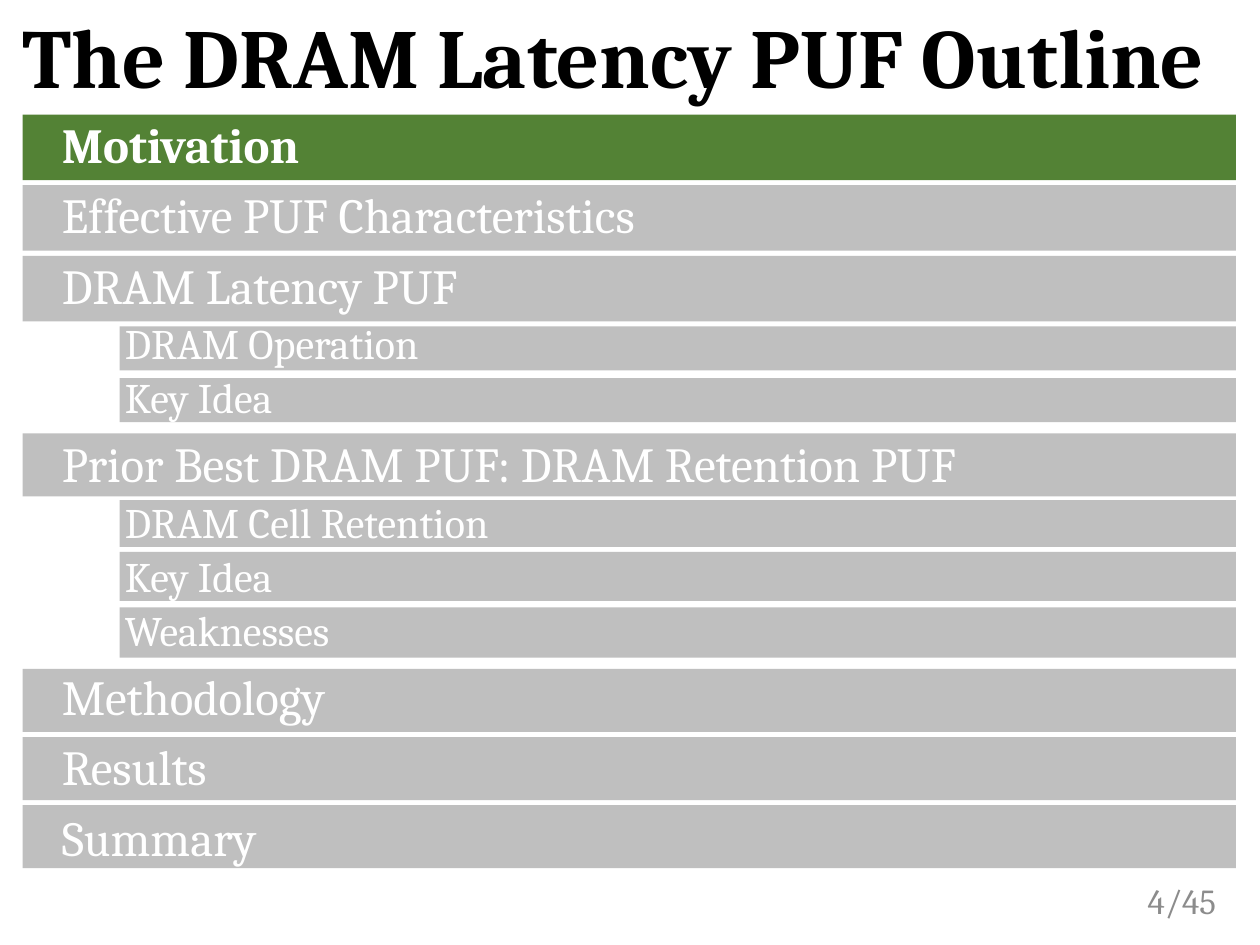
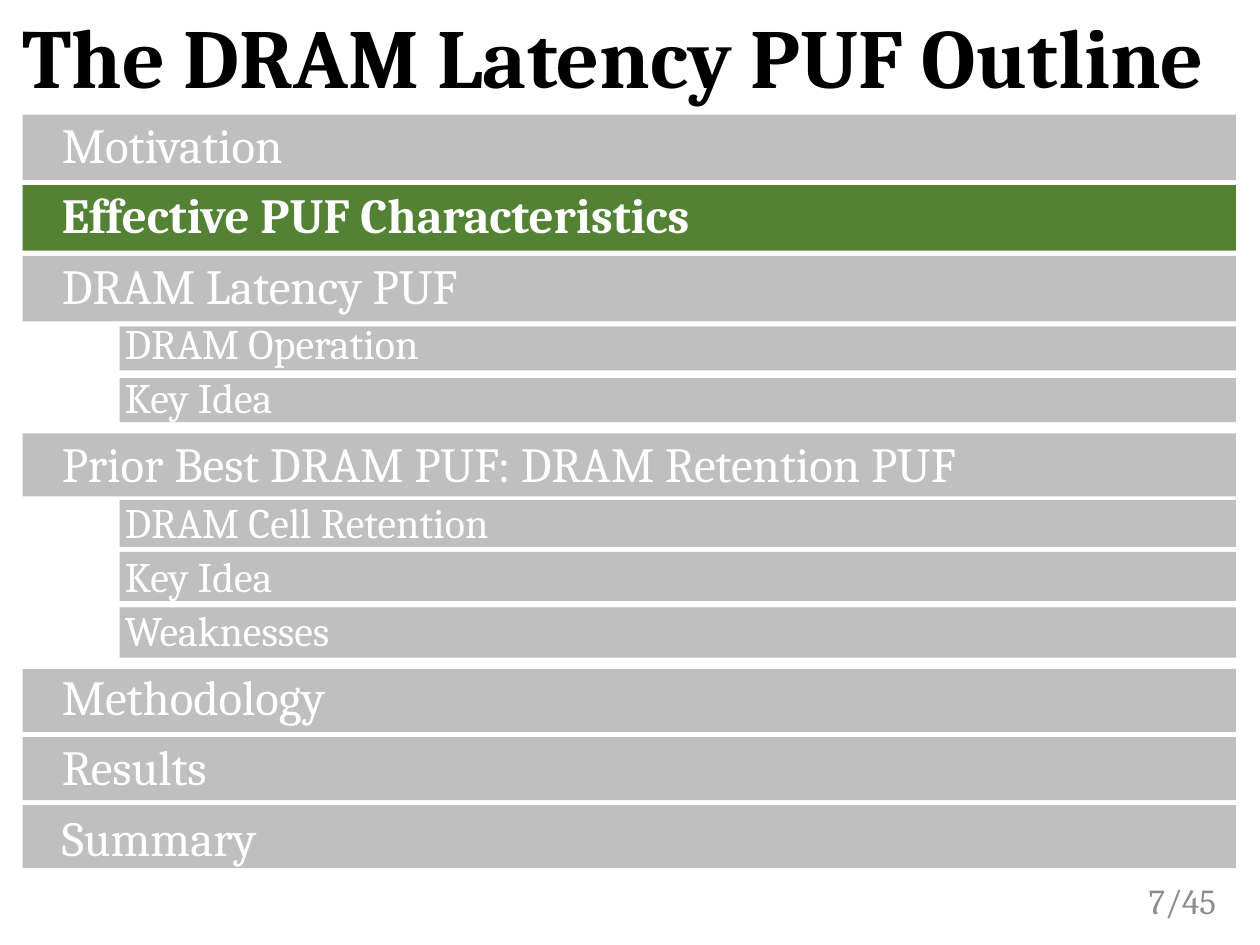
from lxml import etree
from pptx import Presentation
from pptx import util as u
from pptx.dml.color import RGBColor
from pptx.enum import shapes, text
from pptx.oxml import ns

GREEN = RGBColor(0x53, 0x82, 0x35)
GREY = RGBColor(0xBF, 0xBF, 0xBF)
WHITE = RGBColor(0xFF, 0xFF, 0xFF)
BLACK = RGBColor(0, 0, 0)
DIM = RGBColor(0x8C, 0x8C, 0x8C)

FONT = "Cambria"
RIGHT = 9.81         # shared right edge of all bars
LEFT = (0.18, 0.95)  # left edge of a bar by level
SIZE = (28, 24)      # text size by level
SPACE = (10, 5)      # space before by level
PAGES = 45

# Topic, level, top and height of its bar
TOPICS = [
    ("Motivation", 0, 0.91, 0.52),
    ("Effective PUF Characteristics", 0, 1.47, 0.52),
    ("DRAM Latency PUF", 0, 2.03, 0.52),
    ("DRAM Operation", 1, 2.59, 0.35),
    ("Key Idea", 1, 3, 0.35),
    ("Prior Best DRAM PUF: DRAM Retention PUF", 0, 3.44, 0.5),
    ("DRAM Cell Retention", 1, 3.97, 0.37),
    ("Key Idea", 1, 4.38, 0.39),
    ("Weaknesses", 1, 4.82, 0.4),
    ("Methodology", 0, 5.31, 0.5),
    ("Results", 0, 5.85, 0.5),
    ("Summary", 0, 6.39, 0.5),
]


class Deck:
    def __init__(self):
        self.prs = Presentation()
        self.prs.slide_width = u.Inches(10)
        self.prs.slide_height = u.Inches(7.5)
        self.slide = None

    def start(self):
        self.slide = self.prs.slides.add_slide(self.prs.slide_layouts[1])

    def place(self, shape, box, anchor=text.MSO_ANCHOR.TOP):
        """Set the box of a text shape and raise it to the front."""
        for key, val in zip(("left", "top", "width", "height"), box):
            setattr(shape, key, u.Inches(val))
        frame = shape.text_frame
        form = {"word_wrap": True, "auto_size": text.MSO_AUTO_SIZE.NONE,
                "vertical_anchor": anchor}
        for key, val in form.items():
            setattr(frame, key, val)
        self.slide.shapes._spTree.append(shape._element)
        return frame

    def line(self, para, words, size, color, bold=False, **form):
        """Fill one paragraph with a single run."""
        form = {"alignment": text.PP_ALIGN.LEFT, "space_before": u.Pt(0),
                "line_spacing": 0.9, **form}
        for key, val in form.items():
            setattr(para, key, val)
        run = para.add_run()
        run.text = words
        face = {"name": FONT, "size": u.Pt(size), "bold": bold}
        for key, val in face.items():
            setattr(run.font, key, val)
        run.font.color.rgb = color

    def title(self, words):
        frame = self.place(self.slide.shapes.title, (0.08, 0.08, 9.83, 0.81))
        self.line(frame.paragraphs[0], words, 48, BLACK, True)

    def bar(self, level, top, high, color):
        left = LEFT[level]
        box = (u.Inches(n) for n in (left, top, RIGHT - left, high))
        bar = self.slide.shapes.add_shape(shapes.MSO_SHAPE.RECTANGLE, *box)
        bar.shadow.inherit = False
        bar.fill.solid()
        bar.fill.fore_color.rgb = color
        bar.line.fill.background()

    def topics(self, active):
        body = self.slide.placeholders[1]
        frame = self.place(body, (0.39, 0.91, 8.88, 5.82))
        for num, (words, level, _, _) in enumerate(TOPICS):
            para = frame.add_paragraph() if num else frame.paragraphs[0]
            props = para._p.get_or_add_pPr()
            props.set("marL", str(u.Inches(0.5 * level)))
            props.set("indent", "0")
            etree.SubElement(props, ns.qn("a:buNone"))
            self.line(para, words, SIZE[level], WHITE, num == active,
                      level=level,
                      space_before=u.Pt(SPACE[level] if num else 0))

    def page(self, num):
        box = self.slide.shapes.add_textbox(0, 0, 0, 0)
        frame = self.place(box, (8.67, 6.95, 1.08, 0.4),
                           text.MSO_ANCHOR.MIDDLE)
        self.line(frame.paragraphs[0], f"{num}/{PAGES}", 20, DIM,
                  alignment=text.PP_ALIGN.RIGHT, line_spacing=1.0)

    def outline(self, active, num):
        """Build one outline slide with the active topic in green."""
        self.start()
        for pos, (_, level, top, high) in enumerate(TOPICS):
            self.bar(level, top, high, GREEN if pos == active else GREY)
        self.title("The DRAM Latency PUF Outline")
        self.topics(active)
        self.page(num)


def main():
    deck = Deck()
    for active, num in enumerate((4, 7)):
        deck.outline(active, num)
    deck.prs.save("out.pptx")


if __name__ == "__main__":
    main()
